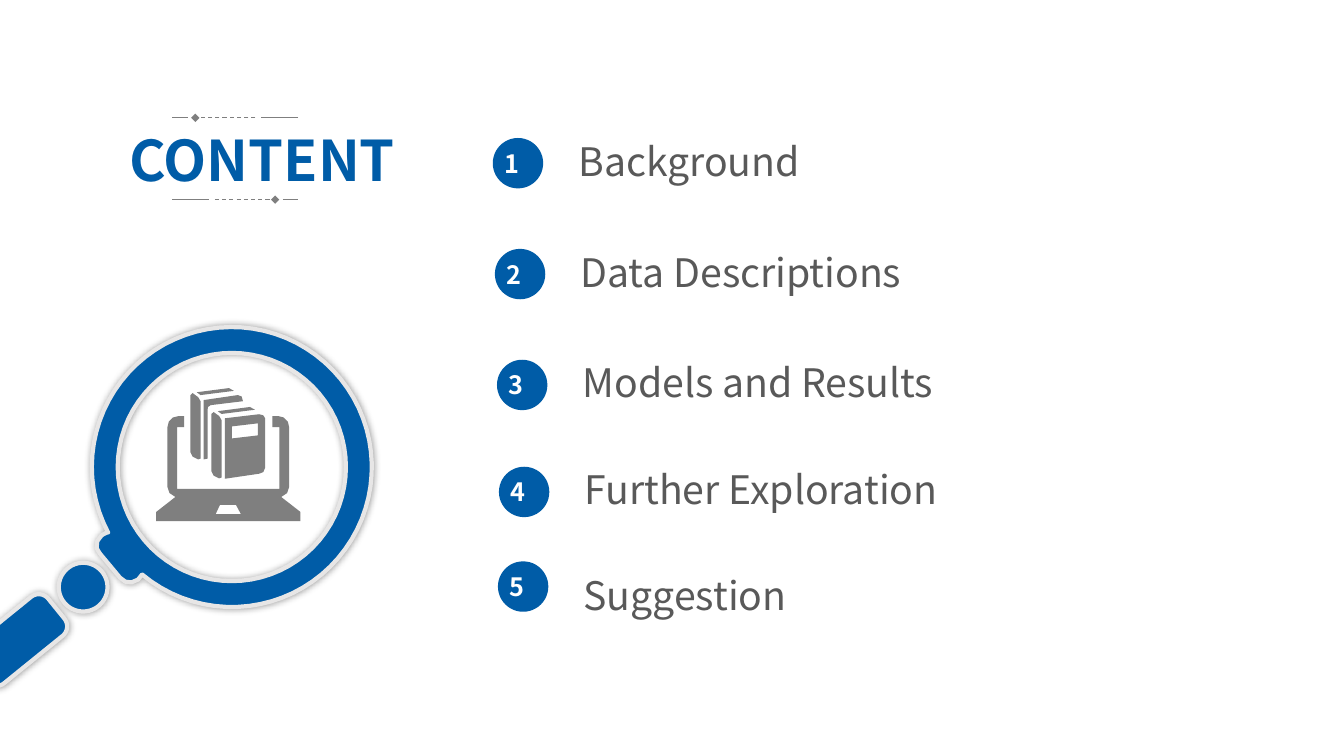
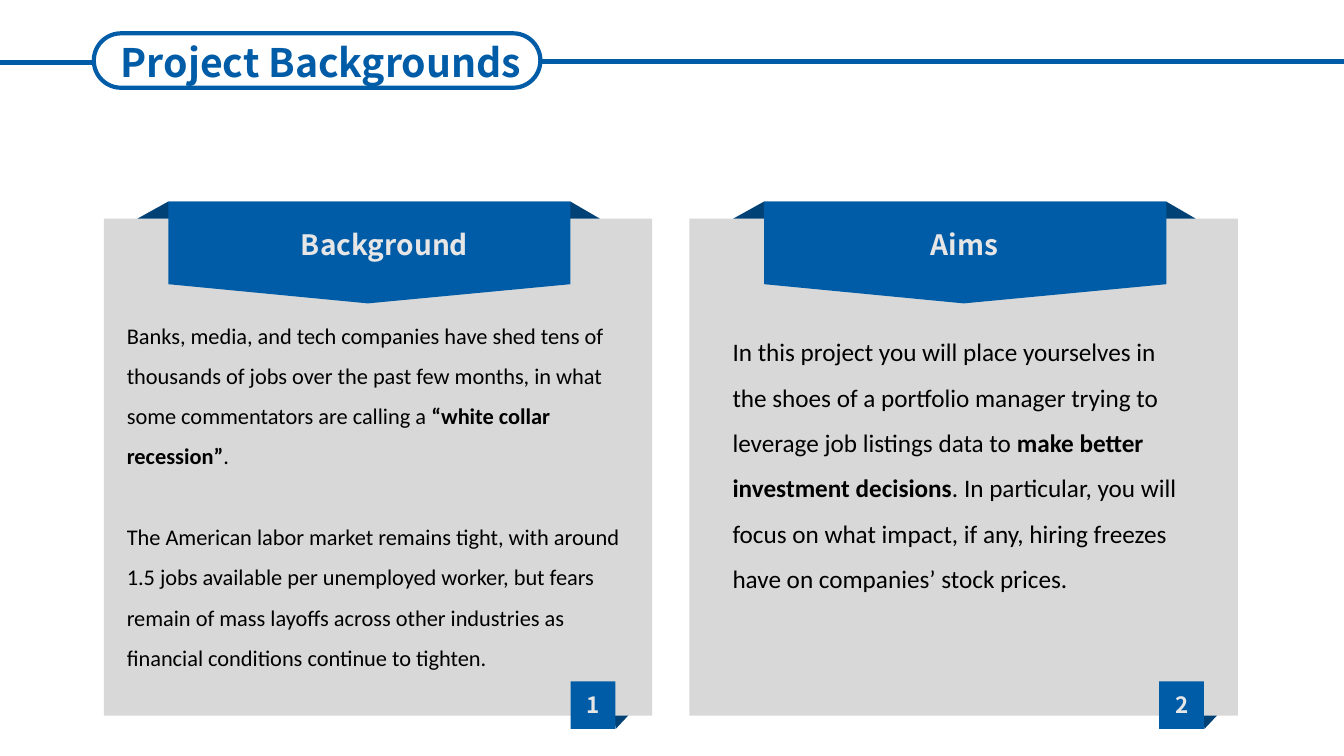
"""Build a contents slide and a project background slide."""
from math import cos, radians, sin

from lxml import etree
from pptx import Presentation
from pptx.dml.color import RGBColor
from pptx.enum.dml import MSO_LINE
from pptx.enum.shapes import MSO_CONNECTOR, MSO_SHAPE
from pptx.enum.text import PP_ALIGN
from pptx.oxml.ns import qn
from pptx.util import Pt

DASH = MSO_LINE.DASH
LINE = MSO_CONNECTOR.STRAIGHT
RECT, OVAL, PILL = MSO_SHAPE.RECTANGLE, MSO_SHAPE.OVAL, MSO_SHAPE.ROUNDED_RECTANGLE
LEFT, MID = PP_ALIGN.LEFT, PP_ALIGN.CENTER

BLUE, NAVY = "005CA7", "004176"
GREY, DARK = "7F7F7F", "595959"
PALE, CARD = "E7E6E6", "D8D8D8"
WHITE, BLACK = "FFFFFF", "000000"
HEAD, BODY = "Noto Sans CJK SC", "Calibri"


def tint(code):
    return RGBColor.from_string(code)


def arc(x, y, size, start, end, steps=72):
    turns = [radians(start + (end - start) * i / steps) for i in range(steps + 1)]
    return [(x + size * cos(t), y + size * sin(t)) for t in turns]


def move(points, x, y):
    return [(x + a, y + b) for a, b in points]


def spin(points, angle):
    c, s = cos(radians(angle)), sin(radians(angle))
    return [(a * c - b * s, a * s + b * c) for a, b in points]


def bar(wide, high, size):
    points = []
    for i, (a, b) in enumerate([(1, 1), (-1, 1), (-1, -1), (1, -1)]):
        x, y = a * (wide / 2 - size), b * (high / 2 - size)
        points += arc(x, y, size, 90 * i, 90 * i + 90, 8)
    return points


class Deck:
    def __init__(self):
        self.file = Presentation()
        self.file.slide_width, self.file.slide_height = Pt(960), Pt(540)
        self.page = None

    def add(self):
        self.page = self.file.slides.add_slide(self.file.slide_layouts[6]).shapes

    def paint(self, shape, fill=None, line=None, width=3):
        shape.shadow.inherit = False
        if fill:
            shape.fill.solid()
            shape.fill.fore_color.rgb = tint(fill)
        else:
            shape.fill.background()
        if line:
            shape.line.color.rgb = tint(line)
            shape.line.width = Pt(width)
        else:
            shape.line.fill.background()
        return shape

    def shape(self, kind, x, y, w, h, **look):
        return self.paint(self.page.add_shape(kind, Pt(x), Pt(y), Pt(w), Pt(h)), **look)

    def free(self, *loops, **look):
        draw = None
        for loop in loops:
            (x, y), *rest = [(Pt(a), Pt(b)) for a, b in loop]
            if draw is None:
                draw = self.page.build_freeform(x, y, scale=1.0)
            else:
                draw.move_to(x, y)
            draw.add_line_segments(rest, close=True)
        return self.paint(draw.convert_to_shape(), **look)

    def glow(self, shape, blur, alpha):
        list_ = shape._element.spPr.find(qn("a:effectLst"))
        outer = etree.SubElement(list_, qn("a:outerShdw"), blurRad=str(Pt(blur)),
                                 dist="0", dir="0", algn="ctr", rotWithShape="0")
        color = etree.SubElement(outer, qn("a:srgbClr"), val=BLACK)
        etree.SubElement(color, qn("a:alpha"), val=str(alpha * 1000))

    def line(self, x, y, end, color, width, dash=False):
        item = self.page.add_connector(LINE, Pt(x), Pt(y), Pt(end), Pt(y))
        item.line.color.rgb = tint(color)
        item.line.width = Pt(width)
        if dash:
            item.line.dash_style = DASH
            etree.SubElement(item.line._get_or_add_ln(), qn("a:tailEnd"), type="diamond")
        etree.SubElement(item._element.spPr, qn("a:effectLst"))

    def text(self, text, x, y, w, h, size=16, color=BLACK, font=HEAD,
             bold=False, align=LEFT, space=None, gap=0):
        frame = self.page.add_textbox(Pt(x), Pt(y), Pt(w), Pt(h)).text_frame
        frame.word_wrap = True
        for i, part in enumerate(text.split("\n")):
            para = frame.add_paragraph() if i else frame.paragraphs[0]
            para.alignment = align
            if space:
                para.line_spacing = space
            if i and gap:
                para.space_before = Pt(gap)
            for j, words in enumerate(part.split("**")):
                run = para.add_run()
                run.text = words
                run.font.name, run.font.size = font, Pt(size)
                run.font.bold = bold or j % 2 == 1
                run.font.color.rgb = tint(color)

    def rule(self, y, flip):
        for start, end, dash in [(123, 149.5, False), (153.5, 196.5, True), (202, 213, False)]:
            if flip:
                start, end = 336 - start, 336 - end
            self.line(start, y, end, GREY, 0.75, dash)

    def lens(self):
        x, y = 165.6, 333.6
        neck = [(77, 380), (72.7, 382.3), (69.5, 386.5), (69, 391.5), (71.3, 395.3),
                (85.7, 412.6), (89.5, 415.5), (94, 416), (98.6, 414), (101.5, 410.4)]
        grip = move(spin(bar(71.2, 35.8, 8.7), -39), 12.6, 457.2)
        item = self.free(grip, arc(x, y, 100, 129.8, -207.9) + neck,
                         arc(x, y, 81.5, 0, 360), arc(59.4, 419.4, 17.4, 0, 360),
                         fill=BLUE, line=PALE)
        self.glow(item, 5, 40)

    def icon(self):
        half = [(15, 72), (15, 28), (20, 28), (20, 20), (16, 20), (12, 21), (9, 24),
                (8, 28), (8, 70.5), (9.5, 75), (13.7, 77.8), (0, 88.5), (0, 95)]
        base = half + [(103 - a, b) for a, b in reversed(half)]
        pad = [(45.5, 83.5), (57, 83.5), (60.5, 90), (42.5, 90)]
        top = [(29, 3), (31.7, 5), (55.5, 2), (52, 0)]
        spine = [(26, 3.6), (30, 6.5), (31.7, 9.4), (31.7, 50.4), (30, 51),
                 (26, 49), (24.5, 46), (24.5, 5)]
        back = [(33.8, 8.6), (58.3, 5), (61, 6), (62, 9.4), (38.9, 12.2),
                (37, 13.5), (36.7, 15.8), (36.7, 50.4), (33.8, 51)]
        front = [(49, 21.6), (73.5, 18.7), (76.5, 19.5), (77.8, 21.6), (77.8, 57),
                 (76.5, 60), (73.5, 61.2), (49, 64.8)]
        label = [(54, 27.4), (72.7, 25.2), (72.7, 33.8), (54, 36)]
        books = [move(part, a, b) for a, b in [(0, 0), (15, 13.5)] for part in (top, spine)]
        loops = [base, pad, *books, back, front, label]
        self.free(*[move(loop, 111.6, 277.2) for loop in loops], fill=GREY)

    def entry(self, mark, name, x, y, drop):
        self.text(name, x + 54, y + drop, 300, 44, size=28, color=DARK)
        self.shape(OVAL, x, y, 36, 36, fill=BLUE)
        self.text(mark, x + 1.4, y + 3.6, 31, 29, size=18, color=WHITE, bold=True)

    def title(self, text):
        self.line(386, 43.9, 960, BLUE, 3)
        self.line(0, 44.6, 67.7, BLUE, 3)
        self.shape(PILL, 67, 23.8, 319, 38.9, line=BLUE).adjustments[0] = 0.5
        self.text(text, 46.8, 23.8, 365, 72.7, size=28, color=BLUE, bold=True, align=MID)

    def panel(self, mark, name, card, band, tag, mid):
        self.free([(tag + 54, 497.5), (tag + 32.4, 520.6), (tag + 28, 494.6)], fill=NAVY)
        self.shape(RECT, card, 156.2, 391.7, 355, fill=CARD)
        end = band + 287.3
        self.free([(band, 144), (end, 144), (end + 21, 156.2), (band - 22, 156.2)], fill=NAVY)
        self.free([(band, 144), (end, 144), (end, 203), (band + 142.6, 216.7), (band, 203)],
                  fill=BLUE)
        look = {"color": PALE, "bold": True, "align": MID}
        self.text(name, mid - 90, 159, 180, 32, size=20, **look)
        self.shape(RECT, tag, 486.7, 32, 34, fill=BLUE)
        self.text(mark, tag + 3.8, 490, 24.5, 26.6, **look)


def main():
    deck = Deck()
    deck.add()
    deck.rule(84.2, True)
    deck.text("CONTENT", 58.3, 86.4, 257.8, 55.4, size=40, color=BLUE, bold=True, align=MID)
    deck.rule(142.6, False)
    deck.lens()
    deck.icon()
    rows = [("Background", 352, 98.6, -4.3), ("Data Descriptions", 353.5, 177.8, -4.3),
            ("Models and Results", 355, 257, -4.3), ("Further Exploration", 356.4, 333.4, -4.3),
            ("Suggestion", 355.7, 401, 3.6)]
    for i, (name, x, y, drop) in enumerate(rows, 1):
        deck.entry(str(i), name, x, y, drop)

    deck.add()
    deck.panel("1", "Background", 74.2, 120.2, 407.5, 274.7)
    deck.text("Banks, media, and tech companies have shed tens of thousands of jobs over the "
              "past few months, in what some commentators are calling a **“white collar "
              "recession”**.\nThe American labor market remains tight, with around 1.5 jobs "
              "available per unemployed worker, but fears remain of mass layoffs across other "
              "industries as financial conditions continue to tighten.",
              83.5, 216.7, 372.2, 300, font=BODY, space=1.5, gap=28.8)
    deck.panel("2", "Aims", 492.5, 545.8, 828, 689)
    deck.text("In this project you will place yourselves in the shoes of a portfolio manager "
              "trying to leverage job listings data to **make better investment decisions**. "
              "In particular, you will focus on what impact, if any, hiring freezes have on "
              "companies’ stock prices.",
              516.2, 226, 343.4, 236, size=18, font=BODY, space=1.5)
    deck.title("Project Backgrounds")
    deck.file.save("out.pptx")


if __name__ == "__main__":
    main()
